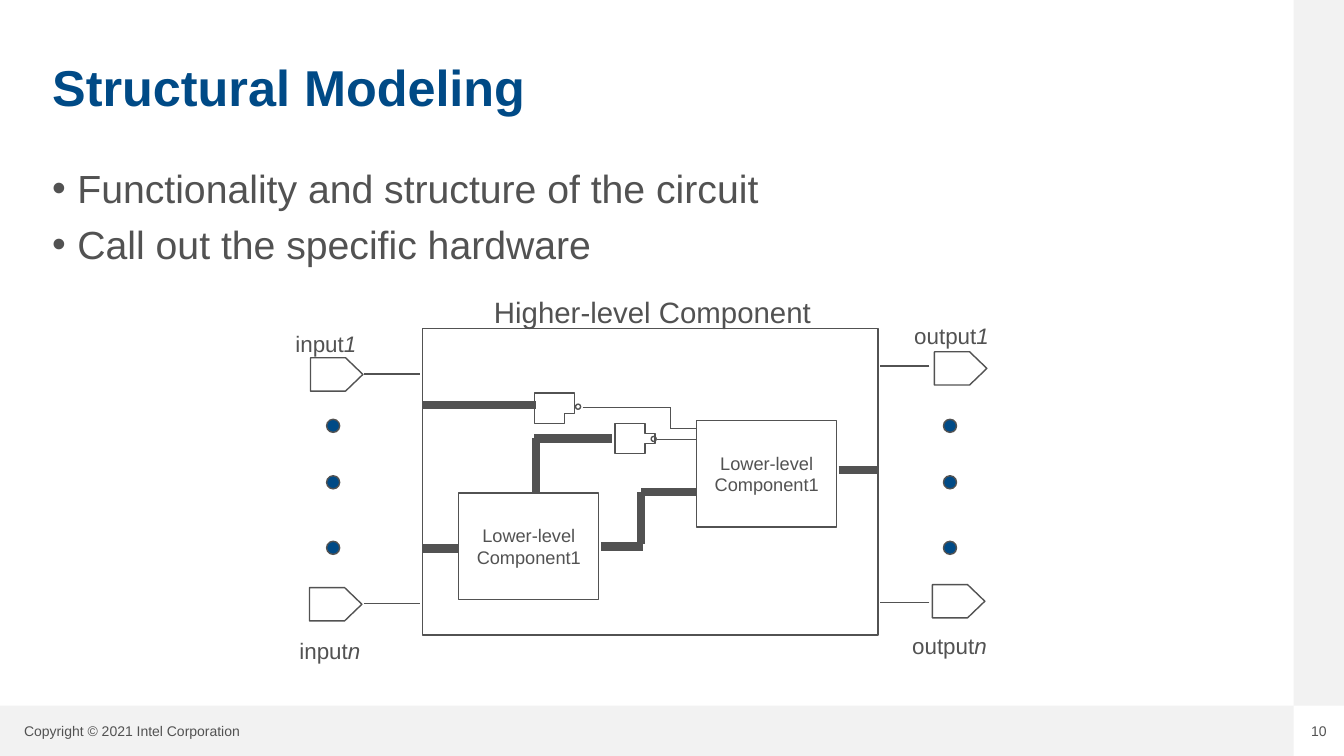
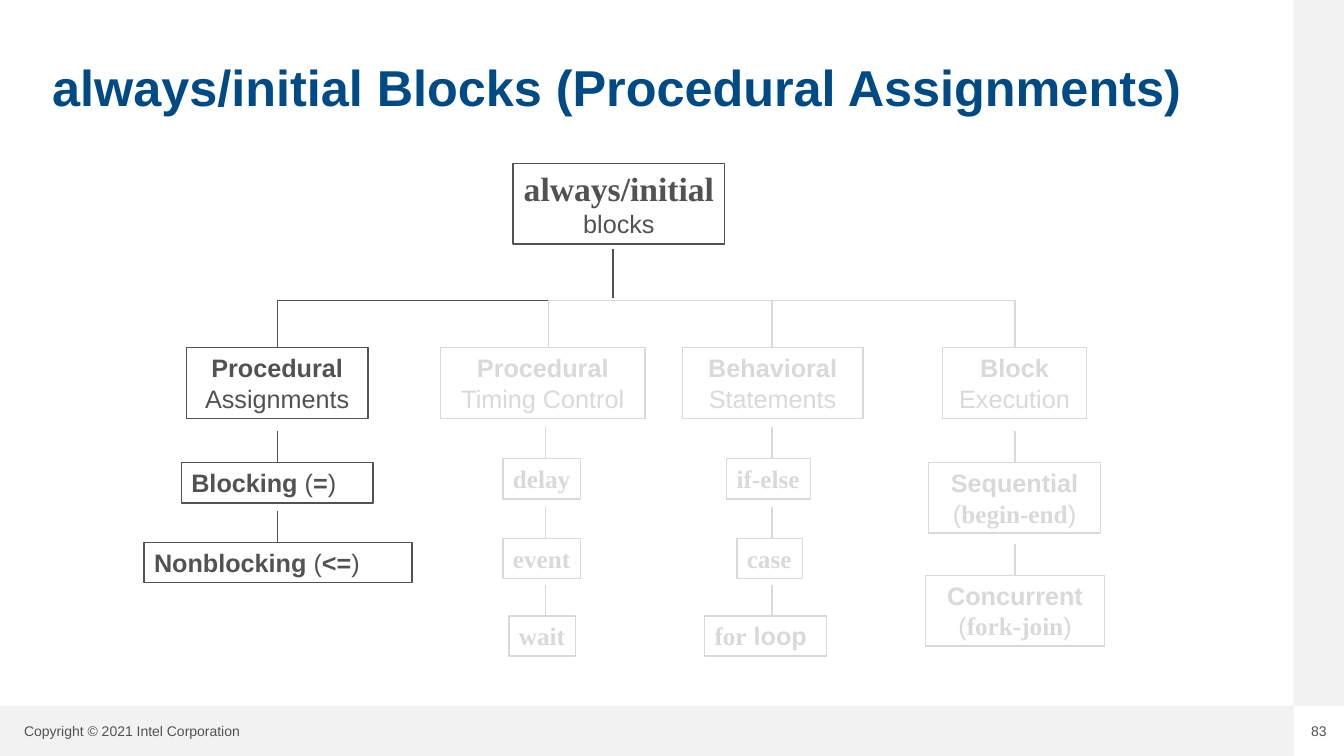
"""Build two slides on hardware modeling: a structural diagram and a tree of procedural blocks."""
from dataclasses import dataclass, field
from math import cos, pi, sin

from lxml.etree import SubElement
from pptx import Presentation
from pptx.dml.color import RGBColor
from pptx.enum.shapes import MSO_CONNECTOR, MSO_SHAPE
from pptx.enum.text import MSO_ANCHOR, MSO_AUTO_SIZE, PP_ALIGN
from pptx.oxml.ns import qn
from pptx.util import Inches, Pt


def font(size, name="Arial", **extra):
    return dict(size=Pt(size), name=name, **extra)


@dataclass(frozen=True)
class Theme:
    ink: str = "525252"
    faded: str = "D9D9D9"
    blue: str = "004A86"
    band: str = "F2F2F2"
    thin: float = 1
    thick: float = 6
    fonts: dict = field(default_factory=lambda: dict(
        title=font(36, bold=True), body=font(28), footer=font(10),
        caption=font(21), label=font(16), index=font(16, italic=True), part=font(13),
        plain=font(18), strong=font(18, bold=True),
        code=font(18, "Times New Roman", bold=True), root=font(24, "Times New Roman", bold=True)))


theme = Theme()
COLUMNS, ROWS = 133.33, 75
CELL = Inches(0.1)
LABEL_INSET = (0.9, 0.4)
LEFT, CENTER = PP_ALIGN.LEFT, PP_ALIGN.CENTER


def add_box(page, at, lines=(), kind=None, fill=None, line=None, color=theme.ink,
            align=LEFT, anchor=MSO_ANCHOR.TOP, inset=(1, 0.5), wrap=False):
    area = [round(length * CELL) for length in at]
    if kind is None:
        box = page.shapes.add_textbox(*area)
    else:
        box = page.shapes.add_shape(kind, *area)
        box.shadow.inherit = False
        for paint, value in ((box.fill, fill), (box.line.fill, line)):
            if value:
                paint.solid()
                paint.fore_color.rgb = RGBColor.from_string(value)
            else:
                paint.background()
        box.line.width = Pt(theme.thin)
    if not lines:
        return box
    side, edge = (round(length * CELL) for length in inset)
    frame_format = dict(margin_left=side, margin_right=side, margin_top=edge, margin_bottom=edge,
                        word_wrap=wrap, vertical_anchor=anchor,
                        auto_size=MSO_AUTO_SIZE.NONE if wrap else MSO_AUTO_SIZE.SHAPE_TO_FIT_TEXT)
    for name, value in frame_format.items():
        setattr(box.text_frame, name, value)
    for number, spans in enumerate(lines):
        para = box.text_frame.add_paragraph() if number else box.text_frame.paragraphs[0]
        para.alignment = align
        for text, style in spans:
            span = para.add_run()
            span.text = text
            span.font.color.rgb = RGBColor.from_string(color)
            for name, value in theme.fonts[style].items():
                setattr(span.font, name, value)
    return box


def add_wires(page, wires, color=theme.ink, weight=theme.thin):
    for ends in wires:
        wire = page.shapes.add_connector(MSO_CONNECTOR.STRAIGHT, *(round(end * CELL) for end in ends))
        wire.line.color.rgb = RGBColor.from_string(color)
        wire.line.width = Pt(weight)
        SubElement(wire.element.spPr, qn("a:effectLst"))


deck = Presentation()
deck.slide_width, deck.slide_height = round(COLUMNS * CELL), ROWS * CELL
pages = []
for title, number in (("Structural Modeling", "10"),
                      ("always/initial Blocks (Procedural Assignments)", "83")):
    page = deck.slides.add_slide(deck.slide_layouts[6])
    pages.append(page)
    for band in ((0, ROWS - 5, COLUMNS - 5, 5), (COLUMNS - 5, 0, 5, ROWS - 5)):
        add_box(page, band, kind=MSO_SHAPE.RECTANGLE, fill=theme.band)
    add_box(page, (1.4, 71.2, 26.7, 2.6), [[("Copyright © 2021 Intel Corporation", "footer")]])
    add_box(page, (127, 71.7, 7.7, 1.7), [[(number, "footer")]], align=CENTER, inset=(0, 0))
    heading = add_box(page, (4.2, 2.4, 120, 13.1), [[(title, "title")]], color=theme.blue,
                      anchor=MSO_ANCHOR.MIDDLE, wrap=True)
    heading.text_frame.paragraphs[0].line_spacing = 0.9

circuit, tree = pages

body = add_box(circuit, (4.2, 16.3, 122.4, 11.6),
               [[("Functionality and structure of the circuit", "body")],
                [("Call out the specific hardware", "body")]], wrap=True)
for number, para in enumerate(body.text_frame.paragraphs):
    para.line_spacing = 0.9
    if number:
        para.space_before = Pt(10)
    properties = para._p.get_or_add_pPr()
    properties.set("marL", str(Inches(0.25)))
    properties.set("indent", str(-Inches(0.25)))
    SubElement(properties, qn("a:buFont"), typeface="Arial")
    SubElement(properties, qn("a:buChar"), char="•")

add_box(circuit, (41.9, 32.6, 45.2, 30.4), kind=MSO_SHAPE.RECTANGLE, line=theme.ink)
add_box(circuit, (48.1, 28.8, 37.1, 4.4), [[("Higher-level Component", "caption")]], inset=LABEL_INSET)

for name, index, port, label, width in (
        ("input", "1", (30.8, 35.5), (28.4, 32.3), 8.8),
        ("input", "n", (30.7, 58.3), (28.8, 62.8), 8.8),
        ("output", "1", (92.7, 34.9), (89.8, 31.6), 10.4),
        ("output", "n", (92.5, 58), (89.6, 62.3), 10.4)):
    pin = add_box(circuit, (*port, 5.2, 3.3), kind=MSO_SHAPE.PENTAGON, line=theme.ink)
    pin.adjustments[0] = 0.52
    add_box(circuit, (*label, width, 3.5), [[(name, "label"), (index, "index")]], inset=LABEL_INSET)

for left in (32.4, 93.6):
    for top in (41.6, 47.2, 53.7):
        add_box(circuit, (left, top, 1.3, 1.3), kind=MSO_SHAPE.OVAL, fill=theme.blue, line=theme.ink)

for left, top in ((45.5, 48.9), (69.1, 41.7)):
    add_box(circuit, (left, top, 13.9, 10.6), [[("Lower-level", "part")], [("Component1", "part")]],
            kind=MSO_SHAPE.RECTANGLE, line=theme.ink, align=CENTER, anchor=MSO_ANCHOR.MIDDLE,
            inset=LABEL_INSET, wrap=True)

RADIUS, ARC_STEPS = 1.25, 16
for left, top in ((53.2, 39.1), (60.7, 42.3)):
    middle, hub = top + RADIUS, left + 2.6
    angles = [pi * step / ARC_STEPS - pi / 2 for step in range(ARC_STEPS + 1)]
    outline = [(hub + RADIUS * cos(angle), middle + RADIUS * sin(angle)) for angle in angles]
    outline.append((left, top + 2 * RADIUS))
    builder = circuit.shapes.build_freeform(left, top, scale=CELL)
    builder.add_line_segments(outline, close=True)
    gate = builder.convert_to_shape()
    gate.shadow.inherit = False
    gate.fill.background()
    gate.line.color.rgb = RGBColor.from_string(theme.ink)
    gate.line.width = Pt(theme.thin)
    add_box(circuit, (left + 3.9, middle - 0.25, 0.5, 0.5), kind=MSO_SHAPE.OVAL, line=theme.ink)

add_wires(circuit, (
    (36.1, 37.1, 41.7, 37.1), (36.1, 59.9, 41.7, 59.9),
    (92.2, 36.3, 87.3, 36.3), (92.2, 59.75, 87.3, 59.75),
    (57.8, 40.4, 66.5, 40.4), (66.5, 40.4, 66.5, 42.5),
    (66.5, 42.5, 69, 42.5), (65.2, 43.6, 69, 43.6)))
add_wires(circuit, (
    (41.9, 54.4, 45.4, 54.4), (41.9, 40.2, 53.2, 40.2),
    (60.7, 43.5, 53, 43.5), (53.2, 43.5, 53.2, 48.8),
    (59.6, 54.2, 63.8, 54.2), (63.6, 54, 63.6, 48.8),
    (63.6, 48.8, 69, 48.8), (83.2, 46.6, 87.2, 46.6)), weight=theme.thick)

BUS, HEAD, DROP = 29.8, 34.5, 3.1
add_box(tree, (50.9, 16.2, 21, 8), [[("always/initial", "root")], [("blocks", "plain")]],
        kind=MSO_SHAPE.RECTANGLE, line=theme.ink, align=CENTER)
add_wires(tree, ((54.3, BUS, 100.8, BUS),), theme.faded)
add_wires(tree, ((60.8, 24.7, 60.8, 29.6), (27.5, BUS, 54.5, BUS)))

branches = (
    (theme.ink, 27.5, 27.5, (
        (18.5, HEAD, 18, [[("Procedural", "strong")], [("Assignments", "plain")]]),
        (18, 45.9, 19, [[("Blocking ", "strong"), ("(", "plain"), ("=", "strong"), (")", "plain")]]),
        (14.3, 53.8, 26.6,
         [[("Nonblocking ", "strong"), ("(", "plain"), ("<=", "strong"), (")", "plain")]]))),
    (theme.faded, 54.4, 54.1, (
        (43.7, HEAD, 20.3, [[("Procedural", "strong")], [("Timing Control", "plain")]]),
        (49.9, 45.5, 7.7, [[("delay", "code")]]),
        (49.9, 53.4, 7.7, [[("event", "code")]]),
        (50.5, 61.1, 6.6, [[("wait", "code")]]))),
    (theme.faded, 76.6, 76.6, (
        (67.7, HEAD, 17.9, [[("Behavioral", "strong")], [("Statements", "plain")]]),
        (72.1, 45.5, 8.3, [[("if-else", "code")]]),
        (73.1, 53.4, 6.5, [[("case", "code")]]),
        (69.9, 61.1, 12.1, [[("for", "code"), (" loop", "strong")]]))),
    (theme.faded, 100.7, 100.7, (
        (93.5, HEAD, 14.3, [[("Block", "strong")], [("Execution", "plain")]]),
        (92.1, 45.9, 17.1,
         [[("Sequential", "strong")], [("(", "plain"), ("begin-end", "code"), (")", "plain")]]),
        (91.8, 57.1, 17.8,
         [[("Concurrent", "strong")], [("(", "plain"), ("fork-join", "code"), (")", "plain")]]))))

for color, trunk, stem, boxes in branches:
    add_wires(tree, ((trunk, BUS, trunk, HEAD),), color)
    for left, top, width, lines in boxes:
        paired = len(lines) == 2
        add_box(tree, (left, top, width, 7 if paired else 4), lines, kind=MSO_SHAPE.RECTANGLE,
                line=color, color=color, align=CENTER if paired else LEFT)
        if top > HEAD:
            add_wires(tree, ((stem, top - DROP, stem, top),), color)

deck.save("out.pptx")
